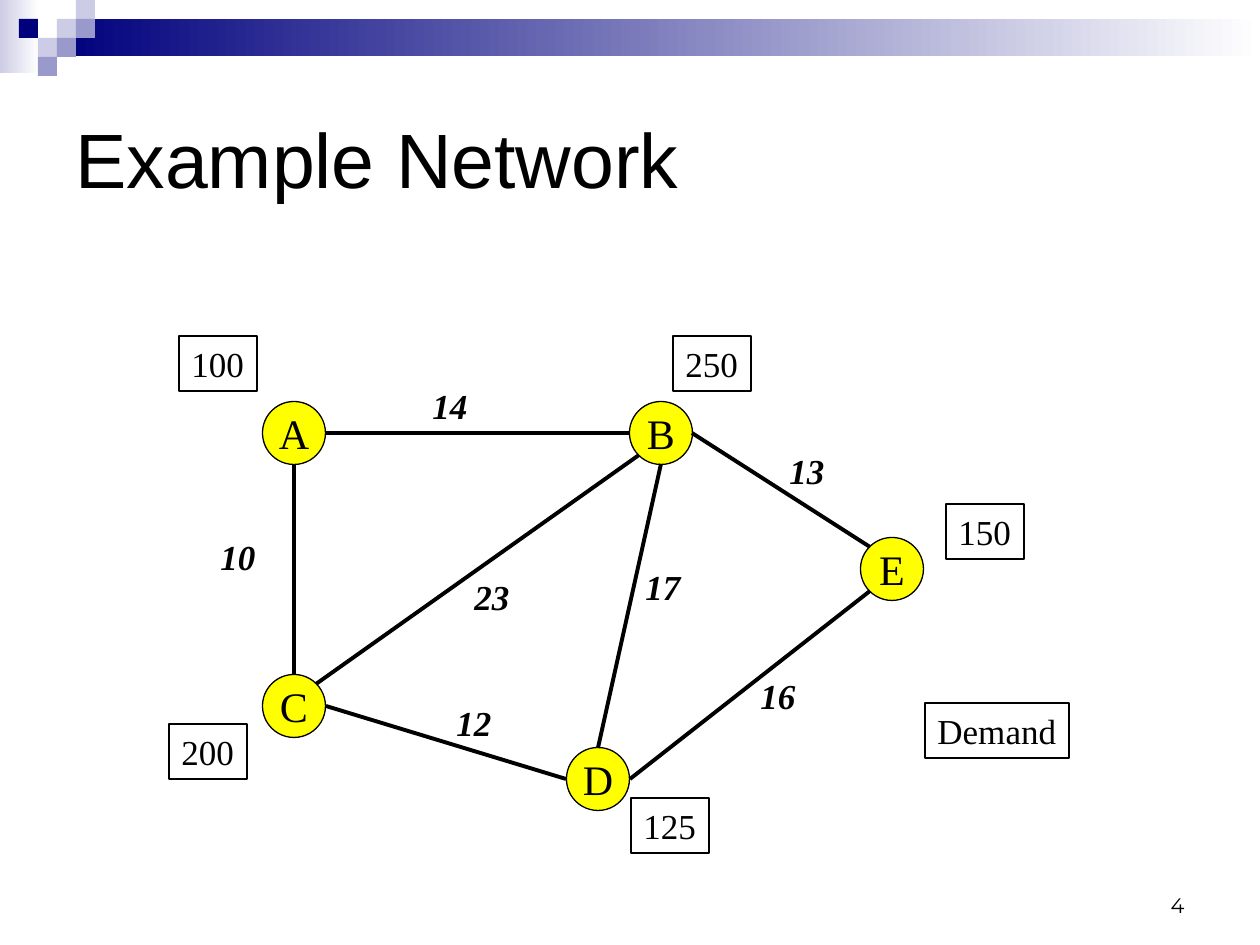
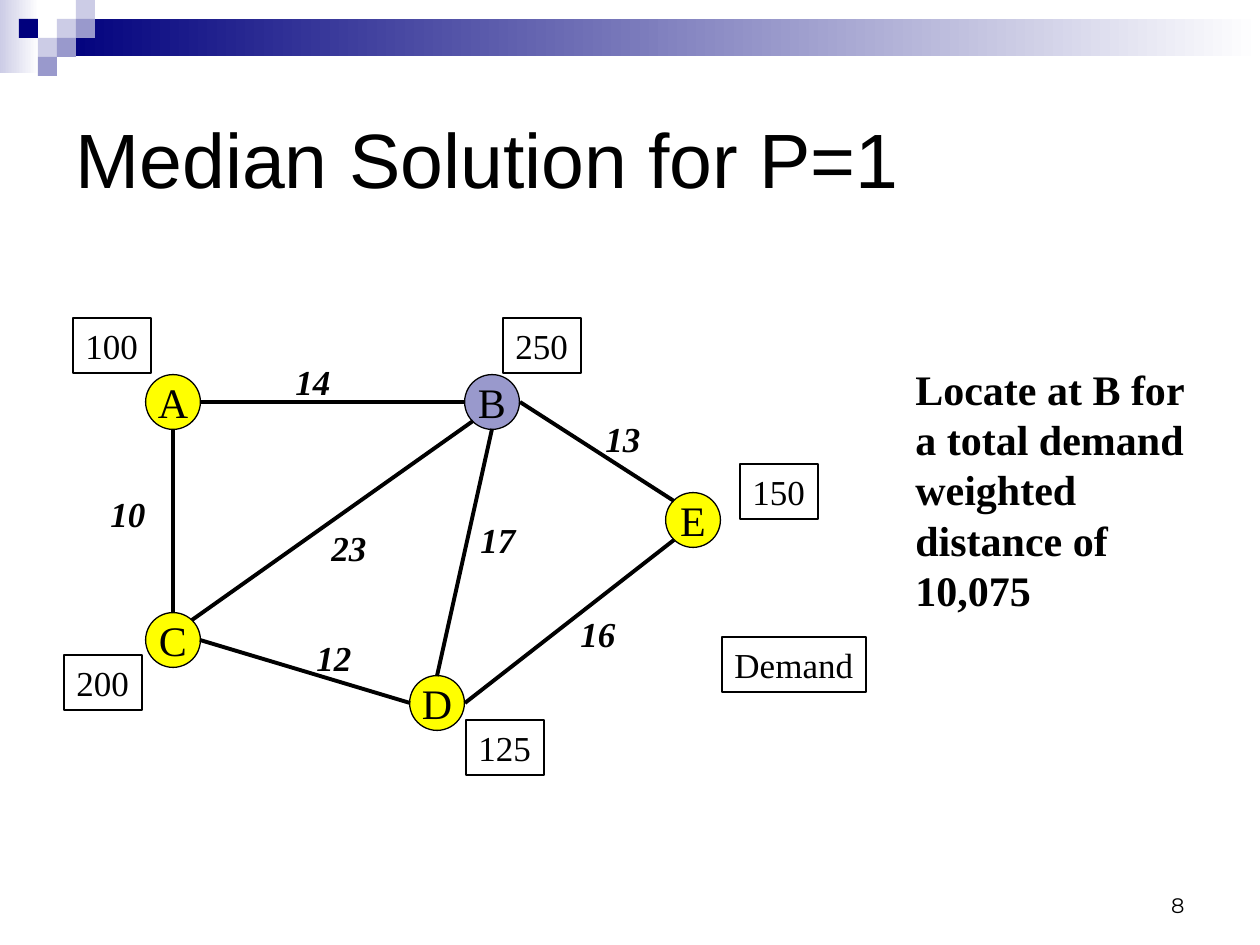
from dataclasses import dataclass
from math import sqrt

from lxml import etree
from pptx import Presentation
from pptx.dml.color import RGBColor
from pptx.enum.shapes import MSO_CONNECTOR, MSO_SHAPE
from pptx.enum.text import MSO_ANCHOR, MSO_AUTO_SIZE, PP_ALIGN
from pptx.oxml.ns import qn
from pptx.shapes.autoshape import Shape
from pptx.slide import Slide
from pptx.util import Pt

RECTANGLE, ELLIPSE = MSO_SHAPE.RECTANGLE, MSO_SHAPE.OVAL
STRAIGHT = MSO_CONNECTOR.STRAIGHT
LEFT, CENTER, RIGHT = PP_ALIGN.LEFT, PP_ALIGN.CENTER, PP_ALIGN.RIGHT
TOP, MIDDLE, BOTTOM = MSO_ANCHOR.TOP, MSO_ANCHOR.MIDDLE, MSO_ANCHOR.BOTTOM
GROW, FIXED = MSO_AUTO_SIZE.SHAPE_TO_FIT_TEXT, MSO_AUTO_SIZE.NONE

BLACK = RGBColor(0x00, 0x00, 0x00)
WHITE = RGBColor(0xFF, 0xFF, 0xFF)
NAVY = RGBColor(0x00, 0x00, 0x7D)
LAVENDER = RGBColor(0x99, 0x99, 0xCC)
PALE = RGBColor(0xCC, 0xCC, 0xE6)
YELLOW = RGBColor(0xFF, 0xFF, 0x00)

PX_PER_INCH = 126
EMU_PER_PX = 914400 / PX_PER_INCH
SQUARE = 19
NODE_SIZE = 63
BOX_HEIGHT = 55
LABEL_WIDTH = 61
DEMAND_WIDTH = 78


@dataclass(frozen=True)
class TextStyle:
    font: str
    size: int
    bold: bool = False
    italic: bool = False
    align: PP_ALIGN = LEFT
    anchor: MSO_ANCHOR = TOP
    wrap: bool = False
    auto_size: MSO_AUTO_SIZE = GROW


@dataclass(frozen=True)
class Node:
    x: int
    y: int


@dataclass(frozen=True)
class Edge:
    start: str
    start_side: tuple[int, int]
    end: str
    end_side: tuple[int, int]
    distance: str
    label_x: int
    label_y: int


@dataclass(frozen=True)
class DemandBox:
    text: str
    x: int
    y: int
    width: int = DEMAND_WIDTH


@dataclass(frozen=True)
class Placement:
    """Maps network coordinates to a slide, with node A as the fixed point."""
    a_x: int
    a_y: int
    scale: float

    def point(self, x: float, y: float) -> tuple[int, int]:
        return (round(self.a_x + (x - NODES["A"].x) * self.scale),
                round(self.a_y + (y - NODES["A"].y) * self.scale))


TITLE = TextStyle("Arial", 44, anchor=MIDDLE, wrap=True, auto_size=FIXED)
PAGE_NUMBER = TextStyle("Montserrat", 12, align=RIGHT, anchor=BOTTOM,
                        wrap=True, auto_size=FIXED)
NODE_NAME = TextStyle("Times New Roman", 24, align=CENTER, anchor=MIDDLE,
                      auto_size=FIXED)
DISTANCE = TextStyle("Times New Roman", 20, bold=True, italic=True)
DEMAND = TextStyle("Times New Roman", 20)
CONCLUSION = TextStyle("Times New Roman", 24, bold=True, wrap=True)

# Checker squares as column, row and colour
CHECKER = [(3, 1, PALE), (4, 0, PALE), (4, 1, LAVENDER), (2, 2, PALE),
           (1, 1, NAVY), (3, 2, LAVENDER), (2, 3, LAVENDER)]

# The network: node centres, edges with distances, demands
NODES = {"A": Node(294, 433), "B": Node(661, 433), "C": Node(294, 706),
         "D": Node(598, 779), "E": Node(892, 569)}

NORTH, SOUTH, WEST, EAST = (0, -1), (0, 1), (-1, 0), (1, 0)
NORTH_WEST, NORTH_EAST, SOUTH_WEST = (-1, -1), (1, -1), (-1, 1)

EDGES = [
    Edge("A", EAST, "B", WEST, "14", 420, 378),
    Edge("A", SOUTH, "C", NORTH, "10", 208, 529),
    Edge("C", EAST, "D", WEST, "12", 444, 695),
    Edge("D", EAST, "E", SOUTH_WEST, "16", 748, 668),
    Edge("B", EAST, "E", NORTH_WEST, "13", 777, 443),
    Edge("B", SOUTH, "D", NORTH, "17", 633, 559),
    Edge("C", NORTH_EAST, "B", SOUTH_WEST, "23", 462, 569),
]

DEMANDS = [DemandBox("100", 179, 336), DemandBox("200", 169, 724),
           DemandBox("125", 631, 798), DemandBox("150", 946, 504),
           DemandBox("250", 673, 336), DemandBox("Demand", 925, 703, 144)]


def emu(px: float) -> int:
    return round(px * EMU_PER_PX)


def write(shape: Shape, text: str, style: TextStyle) -> None:
    frame = shape.text_frame
    frame.word_wrap = style.wrap
    frame.auto_size = style.auto_size
    frame.vertical_anchor = style.anchor
    paragraph = frame.paragraphs[0]
    paragraph.alignment = style.align
    run = paragraph.add_run()
    run.text = text
    run.font.name = style.font
    run.font.size = Pt(style.size)
    run.font.bold = style.bold
    run.font.italic = style.italic
    run.font.color.rgb = BLACK


def outline(shape: Shape) -> None:
    shape.line.color.rgb = BLACK
    shape.line.width = Pt(0.75)


def add_text(slide: Slide, x: int, y: int, width: int, height: int,
             text: str, style: TextStyle) -> Shape:
    box = slide.shapes.add_textbox(emu(x), emu(y), emu(width), emu(height))
    write(box, text, style)
    return box


def add_figure(slide: Slide, kind: MSO_SHAPE, x: float, y: float, width: float,
               height: float, fill: RGBColor) -> Shape:
    figure = slide.shapes.add_shape(kind, emu(x), emu(y), emu(width), emu(height))
    figure.shadow.inherit = False
    figure.fill.solid()
    figure.fill.fore_color.rgb = fill
    figure.line.fill.background()
    return figure


def add_fading_band(slide: Slide, x: int, y: int, width: int, height: int,
                    color: RGBColor) -> None:
    band = add_figure(slide, RECTANGLE, x, y, width, height, color)
    band.fill.gradient()
    band.fill.gradient_angle = 0
    for stop, stop_color in zip(band.fill.gradient_stops, (color, WHITE)):
        stop.color.rgb = stop_color


def add_edge_line(slide: Slide, start: tuple[int, int], end: tuple[int, int]) -> None:
    line = slide.shapes.add_connector(STRAIGHT, *map(emu, start + end))
    line.line.color.rgb = BLACK
    line.line.width = Pt(2.25)
    etree.SubElement(line._element.spPr, qn("a:effectLst"))


def rim_point(name: str, side: tuple[int, int], place: Placement) -> tuple[int, int]:
    node = NODES[name]
    reach = NODE_SIZE / 2 / sqrt(side[0] ** 2 + side[1] ** 2)
    return place.point(node.x + side[0] * reach, node.y + side[1] * reach)


def draw_network(slide: Slide, place: Placement, chosen: str = "") -> None:
    # Nodes
    diameter = NODE_SIZE * place.scale
    for name, node in NODES.items():
        x, y = place.point(node.x, node.y)
        circle = add_figure(slide, ELLIPSE, x - diameter / 2, y - diameter / 2,
                            diameter, diameter,
                            LAVENDER if name == chosen else YELLOW)
        outline(circle)
        write(circle, name, NODE_NAME)

    # Edges and distances
    for edge in EDGES:
        add_edge_line(slide, rim_point(edge.start, edge.start_side, place),
                      rim_point(edge.end, edge.end_side, place))
        add_text(slide, *place.point(edge.label_x, edge.label_y),
                 LABEL_WIDTH, BOX_HEIGHT, edge.distance, DISTANCE)

    # Demands
    for demand in DEMANDS:
        outline(add_text(slide, *place.point(demand.x, demand.y),
                         demand.width, BOX_HEIGHT, demand.text, DEMAND))


def add_base_slide(deck: Presentation, title: str, number: str) -> Slide:
    slide = deck.slides.add_slide(deck.slide_layouts[6])
    slide.background.fill.solid()
    slide.background.fill.fore_color.rgb = WHITE
    add_fading_band(slide, 0, 0, 39, 73, PALE)
    add_fading_band(slide, 57, SQUARE, 1203, 37, NAVY)
    for column, row, color in CHECKER:
        add_figure(slide, RECTANGLE, column * SQUARE, row * SQUARE,
                   SQUARE, SQUARE, color)
    add_text(slide, 903, 861, 294, 63, number, PAGE_NUMBER)
    add_text(slide, 63, 63, 1134, 189, title, TITLE)
    return slide


def main() -> None:
    deck = Presentation()
    deck.slide_width, deck.slide_height = emu(1260), emu(945)

    # Example network
    example = add_base_slide(deck, "Example Network", "4")
    draw_network(example, Placement(294, 433, 1))

    # Median solution
    median = add_base_slide(deck, "Median Solution for P=1", "8")
    add_text(median, 903, 357, 302, 265,
             "Locate at B for a total demand weighted distance of 10,075", CONCLUSION)
    draw_network(median, Placement(173, 402, 0.87), chosen="B")

    deck.save("out.pptx")


if __name__ == "__main__":
    main()
